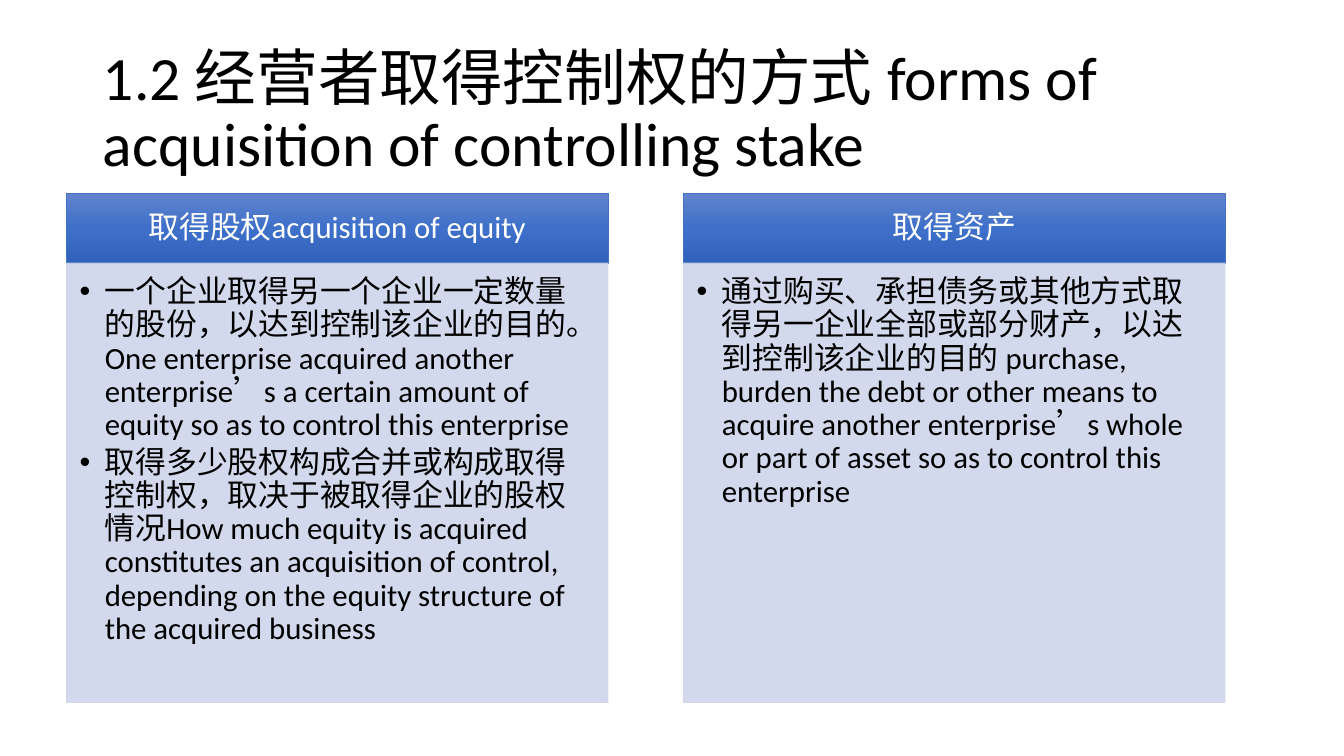
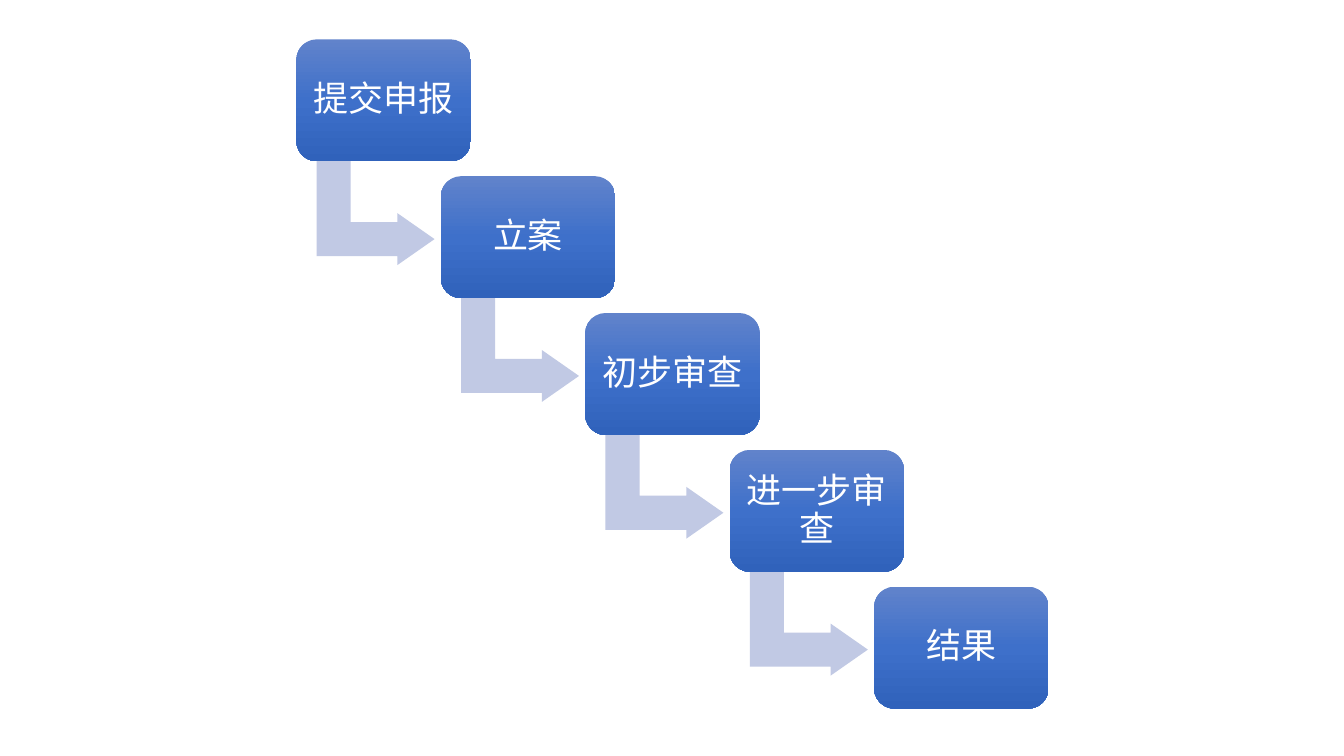
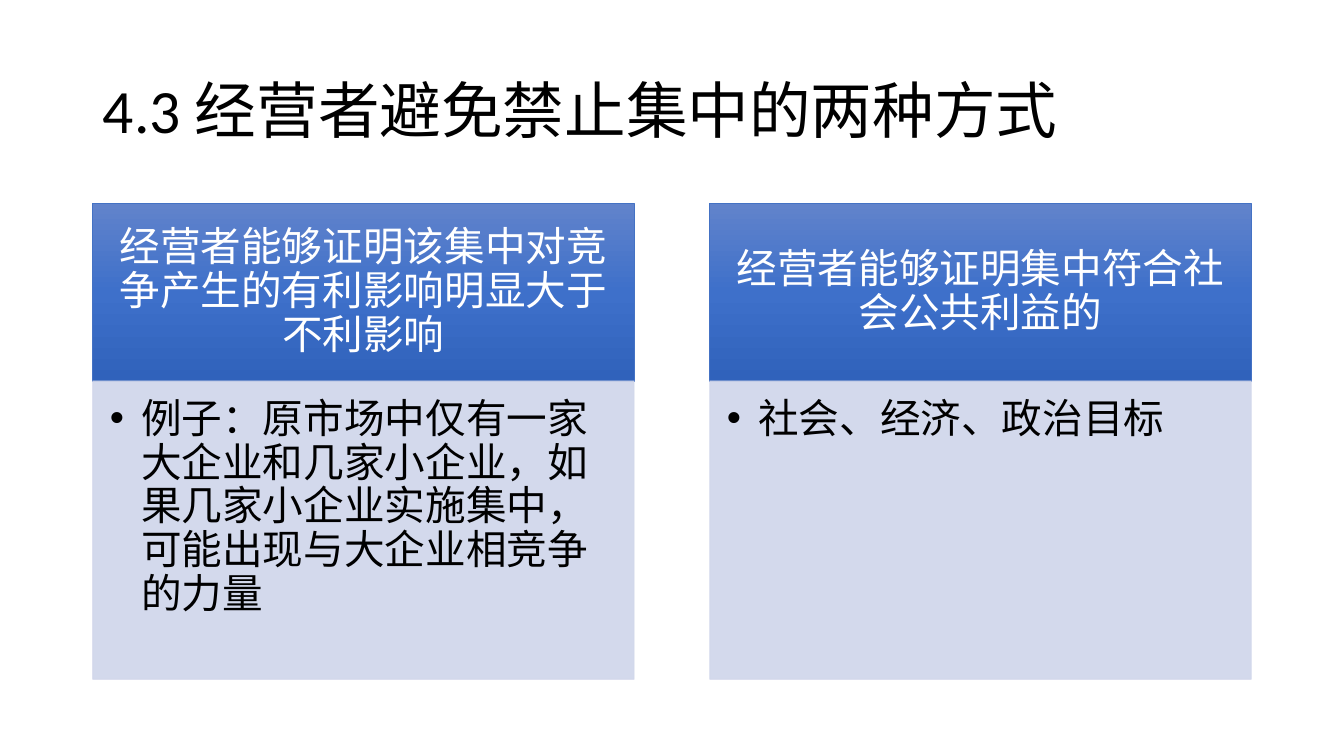
from copy import deepcopy

from lxml.etree import SubElement
from pptx import Presentation
from pptx.dml.color import RGBColor
from pptx.enum.lang import MSO_LANGUAGE_ID
from pptx.enum.shapes import MSO_SHAPE
from pptx.enum.text import MSO_ANCHOR, MSO_AUTO_SIZE, PP_ALIGN
from pptx.oxml.ns import qn
from pptx.util import Inches, Pt

BLACK = RGBColor(0x00, 0x00, 0x00)
WHITE = RGBColor(0xFF, 0xFF, 0xFF)
BLUE = RGBColor(0x44, 0x72, 0xC4)
PALE = RGBColor(0xCF, 0xD5, 0xEA)
ARROW = RGBColor(0xC1, 0xC9, 0xE4)
GRADIENT = [
    (0, RGBColor(0x61, 0x83, 0xCB)),
    (0.5, RGBColor(0x3E, 0x70, 0xCA)),
    (1, RGBColor(0x30, 0x62, 0xBB)),
]
FONT = "Calibri"
COL_W, COL_PITCH = 5.37, 6.12
STEP_W, STEP_H = 1.73, 1.21
FIRST_X, FIRST_Y, LAST_X, LAST_Y = 2.94, 0.39, 8.67, 5.82


def write(shape, paragraphs, size, color=WHITE, align=PP_ALIGN.CENTER,
          anchor=MSO_ANCHOR.MIDDLE, insets=(0.1, 0.05, 0.1, 0.05), indent=0):
    """Fill a shape with paragraphs; a positive indent makes them bulleted."""
    tf = shape.text_frame
    tf.word_wrap = True
    tf.auto_size = MSO_AUTO_SIZE.NONE
    tf.vertical_anchor = anchor
    tf.margin_left, tf.margin_top, tf.margin_right, tf.margin_bottom = map(Inches, insets)
    for i, text in enumerate(paragraphs):
        p = tf.add_paragraph() if i else tf.paragraphs[0]
        if indent:
            pPr = p._p.get_or_add_pPr()
            pPr.set("marL", str(Inches(indent)))
            pPr.set("indent", str(-Inches(indent)))
            SubElement(pPr, qn("a:buFont")).set("typeface", "Arial")
            SubElement(pPr, qn("a:buChar")).set("char", "•")
            p.space_after = Pt(3)
        p.alignment = align
        p.line_spacing = 0.9
        r = p.add_run()
        r.text = text
        r.font.name = FONT
        r.font.size = Pt(size)
        r.font.color.rgb = color
        r.font.language_id = MSO_LANGUAGE_ID.SIMPLIFIED_CHINESE


def add_block(s, kind, box, fill=None, line=None):
    """Add a preset shape; without a fill colour it takes the blue gradient."""
    sp = s.shapes.add_shape(kind, *map(Inches, box))
    sp.shadow.inherit = False
    if fill is None:
        sp.fill.gradient()
        sp.fill.gradient_angle = 270
        stops = sp._element.spPr.find(".//" + qn("a:gsLst"))
        stops.append(deepcopy(stops[0]))
        for stop, (position, color) in zip(sp.fill.gradient_stops, GRADIENT):
            stop.position = position
            stop.color.rgb = color
    else:
        sp.fill.solid()
        sp.fill.fore_color.rgb = fill
    if line is None:
        sp.line.fill.background()
    else:
        sp.line.color.rgb = line
        sp.line.width = Pt(0.5)
    return sp


prs = Presentation()
prs.slide_width, prs.slide_height = Inches(13.33), Inches(7.5)
forms, process, defences = [
    prs.slides.add_slide(prs.slide_layouts[n]) for n in (5, 6, 5)
]

# Two-column slides: (left, top, header height, body height), size, indent, insets
column_slides = [
    (forms, "1.2 经营者取得控制权的方式 forms of acquisition of controlling stake",
     (0.66, 1.92, 0.69, 4.36), 22, 0.25,
     (0.17, 0.1, 0.17, 0.1), (0.13, 0.13, 0.17, 0.19),
     [("取得股权acquisition of equity",
       ["一个企业取得另一个企业一定数量的股份，以达到控制该企业的目的。"
        "One enterprise acquired another enterprise’s a certain amount of equity "
        "so as to control this enterprise",
        "取得多少股权构成合并或构成取得控制权，取决于被取得企业的股权情况"
        "How much equity is acquired constitutes an acquisition of control, "
        "depending on the equity structure of the acquired business"]),
      ("取得资产",
       ["通过购买、承担债务或其他方式取得另一企业全部或部分财产，以达到控制该企业的目的 "
        "purchase, burden the debt or other means to acquire another enterprise’s "
        "whole or part of asset so as to control this enterprise"])]),
    (defences, "4.3 经营者避免禁止集中的两种方式",
     (0.92, 2.02, 1.76, 2.96), 29, 0.31,
     (0.23, 0.13, 0.23, 0.13), (0.17, 0.17, 0.23, 0.25),
     [("经营者能够证明该集中对竞争产生的有利影响明显大于不利影响",
       ["例子：原市场中仅有一家大企业和几家小企业，如果几家小企业实施集中，"
        "可能出现与大企业相竞争的力量"]),
      ("经营者能够证明集中符合社会公共利益的",
       ["社会、经济、政治目标"])]),
]
for s, heading, grid, size, indent, head_insets, body_insets, columns in column_slides:
    title = s.shapes.title
    title.left, title.top, title.width, title.height = map(Inches, (0.92, 0.4, 11.5, 1.45))
    write(title, [heading], 44, color=BLACK, align=PP_ALIGN.LEFT)
    left, top, head_h, body_h = grid
    for i, (header, points) in enumerate(columns):
        x = left + i * COL_PITCH
        head = add_block(s, MSO_SHAPE.RECTANGLE, (x, top, COL_W, head_h), line=BLUE)
        write(head, [header], size, insets=head_insets)
        body = add_block(s, MSO_SHAPE.RECTANGLE, (x, top + head_h, COL_W, body_h),
                         fill=PALE, line=PALE)
        for clr in body._element.spPr.iter(qn("a:srgbClr")):
            SubElement(clr, qn("a:alpha")).set("val", "90000")
        write(body, points, size, color=BLACK, align=PP_ALIGN.LEFT,
              anchor=MSO_ANCHOR.TOP, insets=body_insets, indent=indent)

# Descending steps, each with a bent arrow to the next
steps = ["提交申报", "立案", "初步审查", "进一步审查", "结果"]
gaps = len(steps) - 1
for i, step in enumerate(steps):
    x = FIRST_X + i * (LAST_X - FIRST_X) / gaps
    y = FIRST_Y + i * (LAST_Y - FIRST_Y) / gaps
    if i < gaps:
        arrow = add_block(process, MSO_SHAPE.BENT_UP_ARROW,
                          (x + 0.27, y + 1.14, 1.03, 1.17), fill=ARROW)
        arrow.rotation = 90
        for n, value in enumerate((0.328, 0.25, 0.358)):
            arrow.adjustments[n] = value
    box = add_block(process, MSO_SHAPE.ROUNDED_RECTANGLE, (x, y, STEP_W, STEP_H))
    write(box, [step], 25, insets=(0.1,) * 4)

prs.save("out.pptx")
